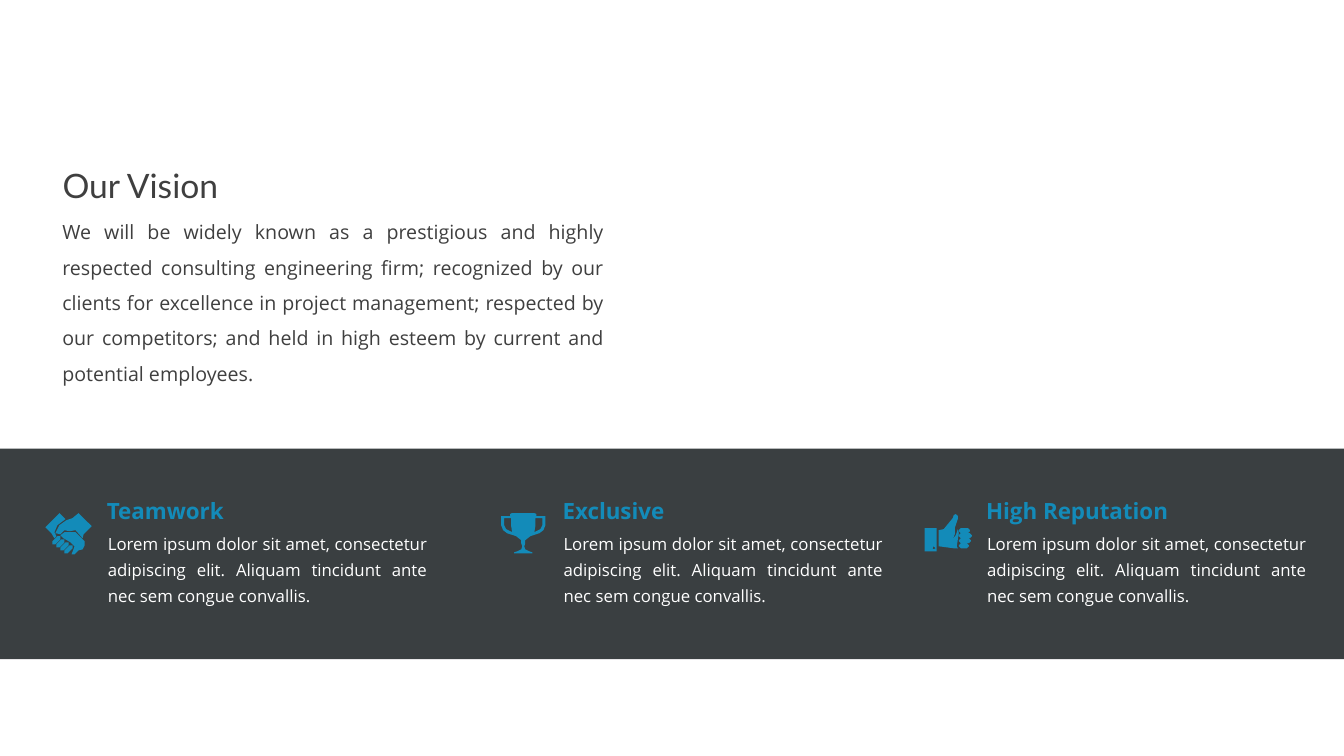
"""Build the vision slide with three company strengths on a dark band."""
from lxml import etree
from pptx import Presentation
from pptx.dml.color import RGBColor
from pptx.enum.shapes import MSO_SHAPE
from pptx.enum.text import MSO_ANCHOR, MSO_AUTO_SIZE, PP_ALIGN
from pptx.oxml.ns import qn
from pptx.util import Inches, Pt

LEFT, JUSTIFY = PP_ALIGN.LEFT, PP_ALIGN.JUSTIFY
TOP, MIDDLE = MSO_ANCHOR.TOP, MSO_ANCHOR.MIDDLE
NO_AUTOFIT = MSO_AUTO_SIZE.NONE
RECTANGLE = MSO_SHAPE.RECTANGLE
GREY = RGBColor(0x3F, 0x3F, 0x3F)
DARK = RGBColor(0x18, 0x1E, 0x20)
BLUE = RGBColor(0x13, 0x8B, 0xB9)
WHITE = RGBColor(0xFF, 0xFF, 0xFF)

VISION = (
    "We will be widely known as a prestigious and highly respected consulting "
    "engineering firm; recognized by our clients for excellence in project "
    "management; respected by our competitors; and held in high esteem by "
    "current and potential employees."
)
LOREM = (
    "Lorem ipsum dolor sit amet, consectetur adipiscing elit. "
    "Aliquam tincidunt ante nec sem congue convallis."
)
ICON_UNIT = Inches(0.01)
ICON_TOP, HEADING_TOP, BODY_TOP = 5.09, 4.93, 5.16
ICON_OFFSET, BODY_OFFSET = -0.48, 0.01


def mirror(points, axis):
    return [(2 * axis - x, y) for x, y in reversed(points)]


def set_text(shape, box, text, size, color, font="Open Sans", bold=False,
             align=LEFT, spacing=1.0, anchor=TOP, margins=(0.1, 0.05)):
    shape.left, shape.top, shape.width, shape.height = map(Inches, box)
    frame = shape.text_frame
    frame.text = text
    frame.word_wrap = True
    frame.auto_size = NO_AUTOFIT
    frame.vertical_anchor = anchor
    frame.margin_left = frame.margin_right = Inches(margins[0])
    frame.margin_top = frame.margin_bottom = Inches(margins[1])
    paragraph = frame.paragraphs[0]
    paragraph.alignment = align
    paragraph.line_spacing = spacing
    run = paragraph.runs[0]
    run.font.name = font
    run.font.size = Pt(size)
    run.font.bold = bold
    run.font.color.rgb = color


trophy_axis = 22
cup_rim = [(11, 0), (9, 1), (9, 3)]
handle = [(0, 3), (0, 12), (2, 17), (6, 20), (15, 23)]
stem = [(20, 27), (20, 30), (21, 33), (20, 36)]
foot = [(16, 38), (13, 39), (13, 40)]
trophy_half = cup_rim + handle + stem + foot
handle_hole = [(11, 19), (5, 16), (3, 12), (3, 5), (10, 5), (10, 13)]
trophy = [
    trophy_half + mirror(trophy_half, trophy_axis),
    handle_hole,
    mirror(handle_hole, trophy_axis),
]

cuff = [(0, 15), (12, 15), (12, 38), (0, 38)]
button = [(8, 35), (9, 36), (11, 35), (9, 33)]
thumb = [(14, 17), (19, 16), (28, 5), (29, 2), (31, 1), (33, 3), (33, 6),
         (30, 15), (30, 21), (28, 26), (31, 22), (33, 16)]
palm = [(34, 20), (32, 33), (33, 35), (29, 35), (14, 33)]
thumb_up = [cuff, button, thumb + palm]
finger_height = 5
for row, tip in enumerate((45, 47, 46, 44)):
    top = 15 + row * finger_height
    bottom = top + finger_height
    thumb_up.append([(36, top), (tip - 2, top), (tip, top + 2), (tip, bottom - 2),
                     (tip - 2, bottom), (36, bottom), (34, bottom - 2), (34, top + 2)])

left_sleeve = [(0, 14), (14, 0), (20, 6), (12, 12), (9, 19), (11, 23), (9, 25), (6, 20)]
right_hand = [(33, 0), (27, 5), (21, 7), (14, 12), (10, 20), (15, 21), (19, 17),
              (24, 18), (30, 17), (37, 25), (38, 21), (46, 13)]
left_hand = [(30, 19), (19, 19), (15, 22), (18, 25), (25, 29), (29, 33), (26, 41),
             (29, 41), (33, 37), (37, 36), (39, 32), (39, 28)]
slanted_finger = [(0, 0), (5, -5), (8, -5), (8, -2), (3, 3), (0, 3)]
handshake = [left_sleeve, right_hand, left_hand]
for finger in range(4):
    finger_left, finger_top = 7 + 4 * finger, 28 + 3 * finger
    handshake.append([(finger_left + x, finger_top + y) for x, y in slanted_finger])

presentation = Presentation()
presentation.slide_width = Inches(13.33)
presentation.slide_height = Inches(7.5)
slide = presentation.slides.add_slide(presentation.slide_layouts[5])
shapes = slide.shapes

set_text(shapes.title, (0.52, 1.59, 4.33, 0.5), "Our Vision", 24, GREY, font="Lato")
vision = shapes.add_textbox(0, 0, 0, 0)
set_text(vision, (0.52, 2.02, 5.57, 1.66), VISION, 14, GREY, align=JUSTIFY, spacing=1.5)

band = shapes.add_shape(RECTANGLE, 0, Inches(4.45), presentation.slide_width, Inches(2.09))
filled_shapes = [(band, DARK)]

strengths = [
    ("Teamwork", 0.93, handshake),
    ("Exclusive", 5.45, trophy),
    ("High Reputation", 9.65, thumb_up),
]
for name, left, outlines in strengths:
    heading = shapes.add_textbox(0, 0, 0, 0)
    set_text(heading, (left, HEADING_TOP, 2.67, 0.27), name, 16, BLUE, bold=True,
             anchor=MIDDLE, margins=(0.13, 0))
    body = shapes.add_textbox(0, 0, 0, 0)
    set_text(body, (left + BODY_OFFSET, BODY_TOP, 3.43, 0.92), LOREM, 12, WHITE,
             align=JUSTIFY, spacing=1.3, anchor=MIDDLE, margins=(0.13, 0.07))

    builder = shapes.build_freeform(*outlines[0][0], scale=ICON_UNIT)
    for outline in outlines:
        if outline is not outlines[0]:
            builder.move_to(*outline[0])
        builder.add_line_segments(outline[1:], close=True)
    icon = builder.convert_to_shape(Inches(left + ICON_OFFSET), Inches(ICON_TOP))
    filled_shapes.append((icon, BLUE))

for shape, color in filled_shapes:
    shape.shadow.inherit = False
    shape.fill.solid()
    shape.fill.fore_color.rgb = color
    shape.line.fill.background()

band_color = band.element.spPr.find(qn("a:solidFill"))[0]
etree.SubElement(band_color, qn("a:alpha"), val="85000")

presentation.save("out.pptx")
